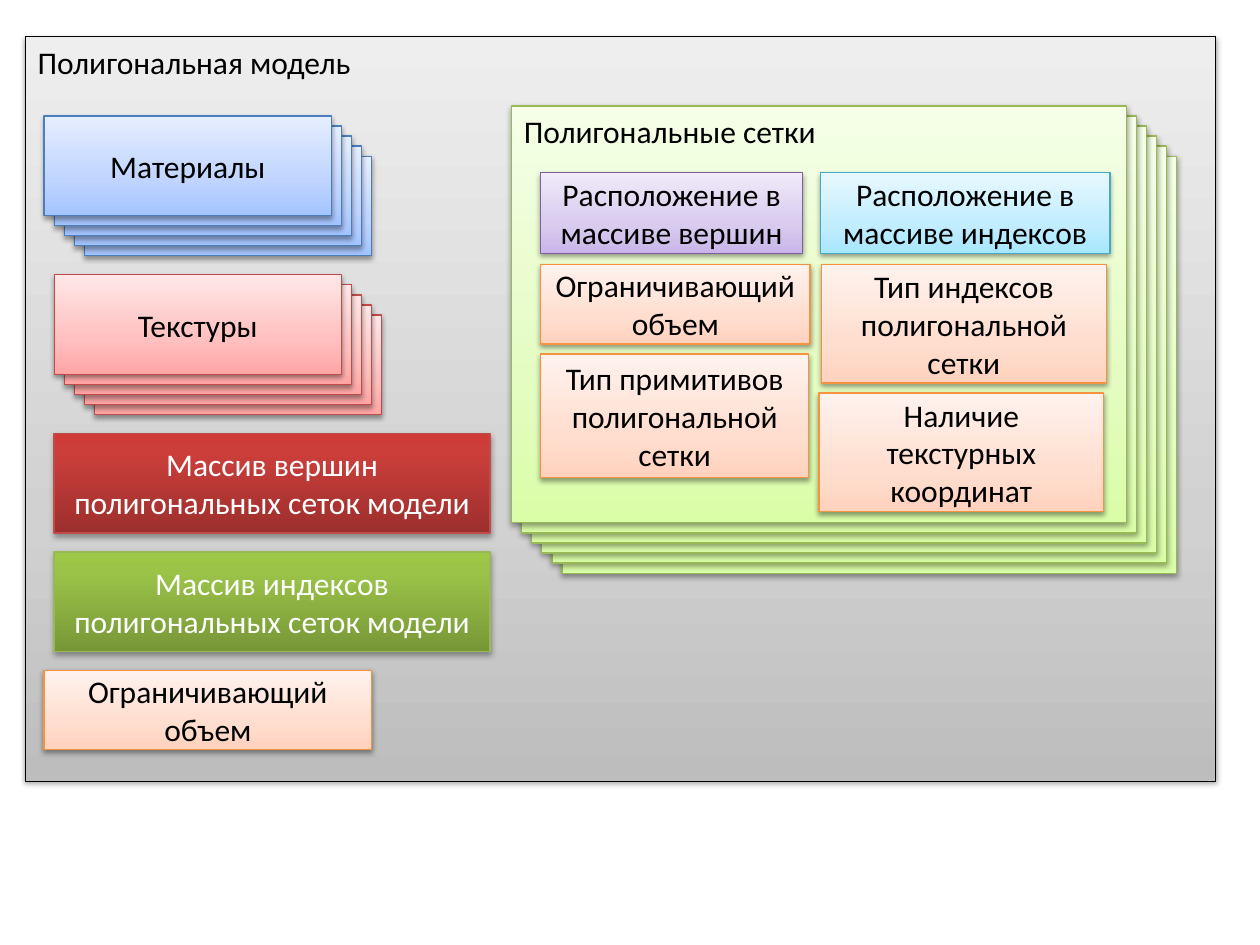
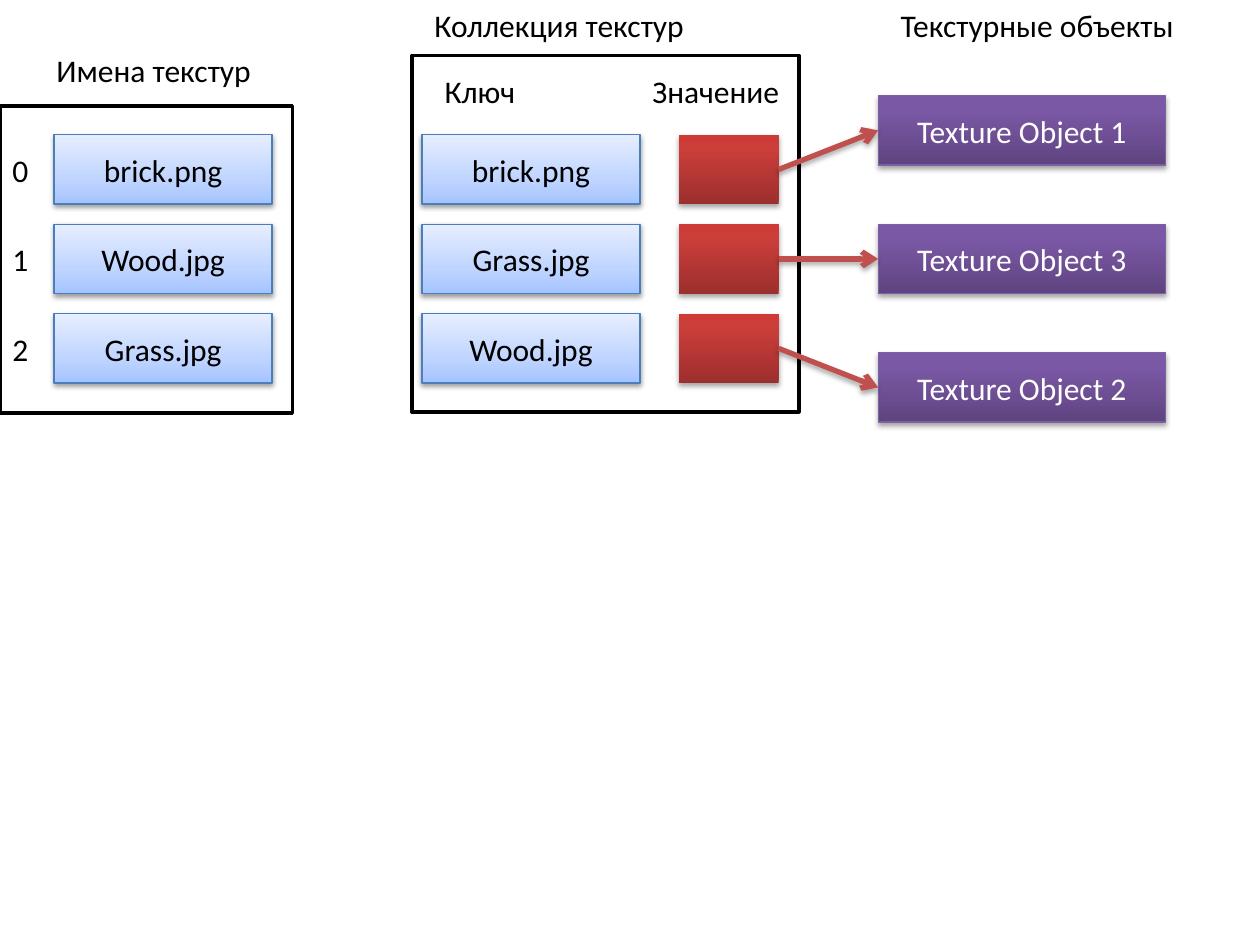
from lxml.etree import SubElement
from pptx import Presentation
from pptx.dml.color import RGBColor
from pptx.enum.shapes import MSO_CONNECTOR, MSO_SHAPE
from pptx.enum.text import MSO_ANCHOR, MSO_AUTO_SIZE, PP_ALIGN
from pptx.oxml.ns import qn
from pptx.util import Inches, Pt

# Gradient stops run from bottom to top: (position %, colour)
def pale(a, b, c, line):
    return {"stops": [(0, a), (35, b), (100, c)], "line": line, "text": "000000",
            "shadow": (38, 1.6)}


def strong(a, b, c, line):
    return {"stops": [(0, a), (80, b), (100, c)], "line": line, "text": "FFFFFF",
            "shadow": (35, 1.8)}


GREY = pale("BDBDBD", "D1D1D1", "EEEEEE", "000000")
BLUE = pale("A4C4FF", "BFD4FF", "E6EEFF", "4B7EBC")
PINK = pale("FFA6A5", "FFC0BF", "FFE7E7", "BF4C48")
LIME = pale("DAFDA7", "E4FCC2", "F5FFE7", "98B955")
LILAC = pale("C9B5E8", "D8CBEE", "F0EAF9", "7D60A0")
AQUA = pale("A7E6FF", "C1EDFF", "E7F8FF", "46AAC5")
PEACH = pale("FFD2BD", "FFDED0", "FFF2ED", "F69240")
RED = strong("9C2F2D", "CB3E3A", "CE3B37", "BF4C48")
GREEN = strong("779737", "9BC348", "9DC746", "98B955")
PURPLE = strong("5F4480", "7B58A6", "7C57A8", "7D60A0")
CELL = {**RED, "line": None}
ARROW = "C0504D"

STACK_STEP = 0.08
ROW_STEP = 0.71
ROW_H = 0.55


def rgb(value):
    return RGBColor.from_string(value)


def add_effects(shape, shadow=None):
    """Give the shape its own effect list, with a downward shadow if asked."""
    effects = SubElement(shape._element.spPr, qn("a:effectLst"))
    if shadow:
        alpha, dist = shadow
        outer = SubElement(effects, qn("a:outerShdw"), blurRad=str(Pt(3.1)),
                           dist=str(Pt(dist)), dir="5400000", rotWithShape="0")
        color = SubElement(outer, qn("a:srgbClr"), val="000000")
        SubElement(color, qn("a:alpha"), val=str(alpha * 1000))


def set_gradient(shape, stops):
    shape.fill.gradient()
    shape.fill.gradient_angle = 90
    stop_list = shape._element.spPr.find(qn("a:gradFill")).find(qn("a:gsLst"))
    for old in list(stop_list):
        stop_list.remove(old)
    for pos, value in stops:
        stop = SubElement(stop_list, qn("a:gs"), pos=str(pos * 1000))
        SubElement(stop, qn("a:srgbClr"), val=value)


def set_text(tf, text, color="000000", align=PP_ALIGN.LEFT, **frame):
    for name, value in frame.items():
        setattr(tf, name, value)
    p = tf.paragraphs[0]
    p.alignment = align
    r = p.add_run()
    r.text = text
    for name, value in {"name": "Calibri", "size": Pt(18)}.items():
        setattr(r.font, name, value)
    r.font.color.rgb = rgb(color)


def add_rect(shapes, left, top, width, height):
    return shapes.add_shape(MSO_SHAPE.RECTANGLE, Inches(left), Inches(top),
                            Inches(width), Inches(height))


def add_box(shapes, left, top, width, height, style, text="", heading=False):
    """Gradient box; a heading sits top left, other text is centred."""
    sp = add_rect(shapes, left, top, width, height)
    set_gradient(sp, style["stops"])
    if style["line"]:
        sp.line.color.rgb = rgb(style["line"])
        sp.line.width = Pt(0.75)
    else:
        sp.line.fill.background()
    add_effects(sp, style["shadow"])
    if text:
        set_text(sp.text_frame, text, style["text"],
                 PP_ALIGN.LEFT if heading else PP_ALIGN.CENTER,
                 vertical_anchor=MSO_ANCHOR.TOP if heading else MSO_ANCHOR.MIDDLE)
    return sp


def add_frame(shapes, left, top, width, height):
    sp = add_rect(shapes, left, top, width, height)
    sp.fill.solid()
    sp.fill.fore_color.rgb = rgb("FFFFFF")
    sp.line.color.rgb = rgb("000000")
    sp.line.width = Pt(2)
    add_effects(sp)


def add_label(shapes, left, top, width, text, wrap=False):
    sp = shapes.add_textbox(Inches(left), Inches(top), Inches(width), Inches(0.4))
    set_text(sp.text_frame, text, word_wrap=wrap,
             auto_size=MSO_AUTO_SIZE.SHAPE_TO_FIT_TEXT)


def add_arrow(shapes, start, end):
    line = shapes.add_connector(MSO_CONNECTOR.STRAIGHT, 0, 0, 0, 0)
    line.begin_connect(start, 3)
    line.end_connect(end, 1)
    line.line.color.rgb = rgb(ARROW)
    line.line.width = Pt(3)
    SubElement(line.line._get_or_add_ln(), qn("a:tailEnd"), type="arrow")
    add_effects(line, RED["shadow"])


def add_sheets(shapes, left, top, width, height, style, count):
    """Sheets behind a front box, the farthest drawn first."""
    for i in range(count, 0, -1):
        shift = i * STACK_STEP
        add_box(shapes, left + shift, top + shift, width, height, style)


def add_column(shapes, left, top, width, texts, style, step=ROW_STEP):
    return [add_box(shapes, left, top + i * step, width, ROW_H, style, text)
            for i, text in enumerate(texts)]


# Slide 1: polygonal model
def add_meshes(s, left, top, width, height):
    add_sheets(s.shapes, left, top, width, height, LIME, 5)
    front = s.shapes.add_group_shape().shapes
    add_box(front, left, top, width, height, LIME, "Полигональные сетки", heading=True)
    for dx, dy, w, h, style, text in [
        (0.23, 0.53, 2.08, 0.64, LILAC, "Расположение в массиве вершин"),
        (2.45, 0.53, 2.3, 0.64, AQUA, "Расположение в массиве индексов"),
        (0.23, 1.26, 2.14, 0.63, PEACH, "Ограничивающий объем"),
        (0.23, 1.97, 2.13, 0.98, PEACH, "Тип примитивов полигональной сетки"),
        (2.46, 1.26, 2.26, 0.94, PEACH, "Тип индексов полигональной сетки"),
        (2.44, 2.28, 2.26, 0.94, PEACH, "Наличие текстурных координат"),
    ]:
        add_box(front, left + dx, top + dy, w, h, style, text)


def add_model(s, left, top, width, height):
    add_box(s.shapes, left, top, width, height, GREY, "Полигональная модель", heading=True)
    for dx, dy, w, h, style, text, sheets in [
        (0.15, 0.63, 2.28, 0.79, BLUE, "Материалы", 4),
        (0.23, 1.89, 2.28, 0.79, PINK, "Текстуры", 4),
        (0.23, 3.15, 3.46, 0.79, RED, "Массив вершин полигональных сеток модели", 0),
        (0.23, 4.09, 3.46, 0.79, GREEN, "Массив индексов полигональных сеток модели", 0),
        (0.15, 5.03, 2.6, 0.63, PEACH, "Ограничивающий объем", 0),
    ]:
        add_sheets(s.shapes, left + dx, top + dy, w, h, style, sheets)
        add_box(s.shapes, left + dx, top + dy, w, h, style, text)
    add_meshes(s, left + 3.86, top + 0.55, 4.88, 3.31)


# Slide 2: texture names, collection and objects
def add_names(s, left, top, width, height):
    add_label(s.shapes, left + 0.35, top - 0.48, 1.76, "Имена текстур")
    add_frame(s.shapes, left, top, width, height)
    names = ["brick.png", "Wood.jpg", "Grass.jpg"]
    add_column(s.shapes, left + 0.43, top + 0.23, 1.73, names, BLUE)
    for i in range(len(names)):
        add_label(s.shapes, left, top + 0.31 + i * ROW_STEP, 0.51, str(i), wrap=True)


def add_collection(s, left, top, width, height):
    """Return the value cells, from which the arrows start."""
    add_label(s.shapes, left + 0.08, top - 0.44, 2.2, "Коллекция текстур")
    add_frame(s.shapes, left, top, width, height)
    add_label(s.shapes, left + 0.16, top + 0.08, 0.77, "Ключ")
    add_label(s.shapes, left + 1.81, top + 0.08, 1.22, "Значение")
    keys = ["brick.png", "Grass.jpg", "Wood.jpg"]
    add_column(s.shapes, left + 0.08, top + 0.63, 1.73, keys, BLUE)
    return add_column(s.shapes, left + 2.12, top + 0.63, 0.79, [""] * len(keys), CELL)


def add_objects(s, left, top, width):
    add_label(s.shapes, left + 0.08, top - 0.76, 2.4, "Текстурные объекты")
    names = [f"Texture Object {n}" for n in (1, 3, 2)]
    return add_column(s.shapes, left, top, width, names, PURPLE, step=1.02)


def add_textures(s):
    add_names(s, 0, 0.84, 2.32, 2.44)
    cells = add_collection(s, 3.27, 0.44, 3.07, 2.83)
    objects = add_objects(s, 6.97, 0.76, 2.28)
    for cell, texture in zip(cells, objects):
        add_arrow(s.shapes, cell, texture)


def main():
    prs = Presentation()
    prs.slide_width, prs.slide_height = Inches(10), Inches(7.5)
    blank = prs.slide_layouts[6]
    add_model(prs.slides.add_slide(blank), 0.2, 0.29, 9.45, 5.91)
    add_textures(prs.slides.add_slide(blank))
    prs.save("out.pptx")


if __name__ == "__main__":
    main()
